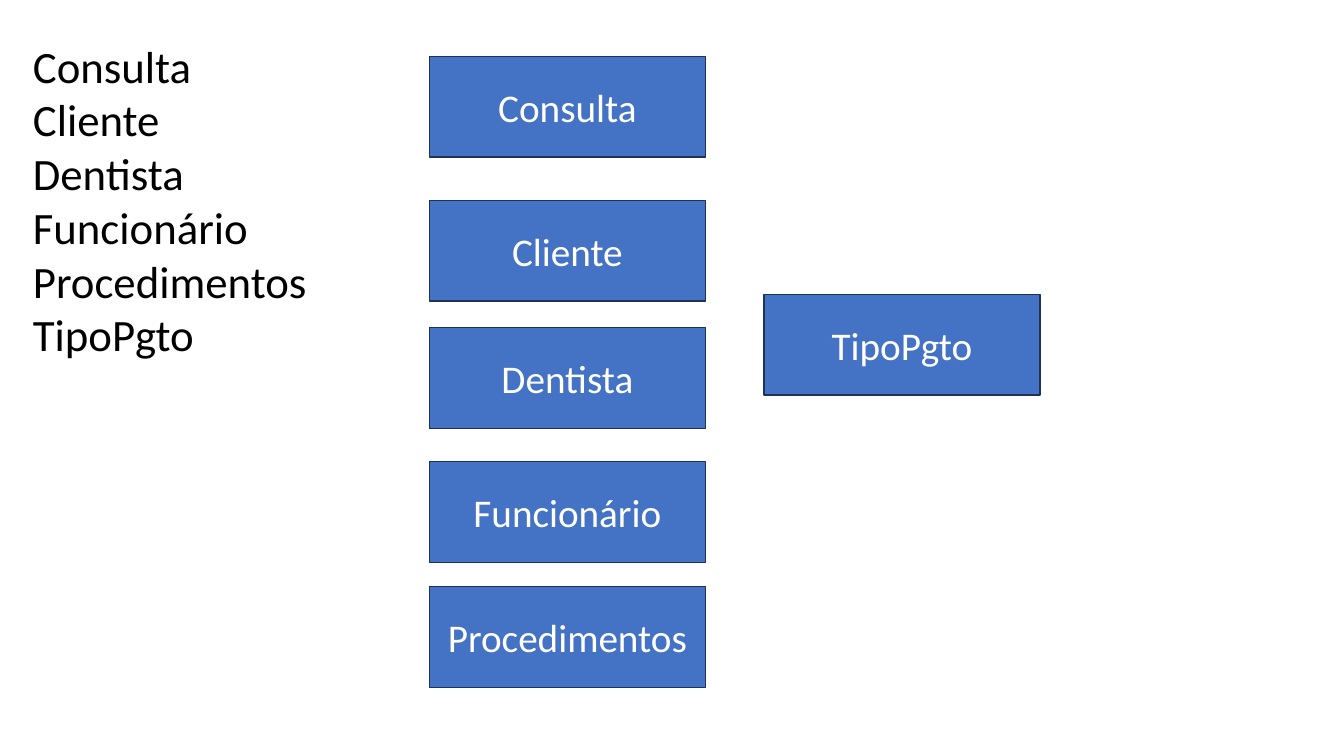
from pptx import Presentation
from pptx import util as u
from pptx.dml.color import RGBColor
from pptx.enum import shapes, text

BLUE, NAVY, WHITE, BLACK = "4472C4", "1E3256", "FFFFFF", "000000"
CARD_W, CARD_H = 6.96, 2.54
LEFT, RIGHT = 10.82, 19.25
CARDS = {
    "Consulta": (LEFT, 1.42),
    "Cliente": (LEFT, 5.05),
    "Dentista": (LEFT, 8.26),
    "Funcionário": (LEFT, 11.63),
    "Procedimentos": (LEFT, 14.78),
    "TipoPgto": (RIGHT, 7.42),
}


def tint(code):
    return RGBColor.from_string(code)


def write(frame, lines, size=28, color=BLACK, align=text.PP_ALIGN.LEFT,
          anchor=text.MSO_ANCHOR.TOP):
    """Put each line in its own paragraph of the frame."""
    frame.word_wrap = True
    frame.vertical_anchor = anchor
    for i, line in enumerate(lines):
        para = frame.paragraphs[0] if i == 0 else frame.add_paragraph()
        para.alignment = align
        run = para.add_run()
        run.text = line
        run.font.name = "Calibri"
        run.font.size = u.Pt(size)
        run.font.color.rgb = tint(color)


def add_list(slide, box, names):
    area = slide.shapes.add_textbox(*map(u.Cm, box))
    write(area.text_frame, names, size=32)
    area.text_frame.auto_size = text.MSO_AUTO_SIZE.SHAPE_TO_FIT_TEXT


def add_card(slide, box, name):
    card = slide.shapes.add_shape(shapes.MSO_SHAPE.RECTANGLE, *map(u.Cm, box))
    card.shadow.inherit = False
    card.fill.solid()
    card.fill.fore_color.rgb = tint(BLUE)
    card.line.color.rgb = tint(NAVY)
    card.line.width = u.Pt(1)
    write(card.text_frame, [name], color=WHITE, align=text.PP_ALIGN.CENTER,
          anchor=text.MSO_ANCHOR.MIDDLE)


def main():
    deck = Presentation()
    deck.slide_width, deck.slide_height = u.Cm(33.87), u.Cm(19.05)
    slide = deck.slides.add_slide(deck.slide_layouts[6])
    add_list(slide, (0.58, 0.84, 7.75, 8.46), CARDS)
    for name, (x, y) in CARDS.items():
        add_card(slide, (x, y, CARD_W, CARD_H), name)
    deck.save("out.pptx")


if __name__ == "__main__":
    main()
